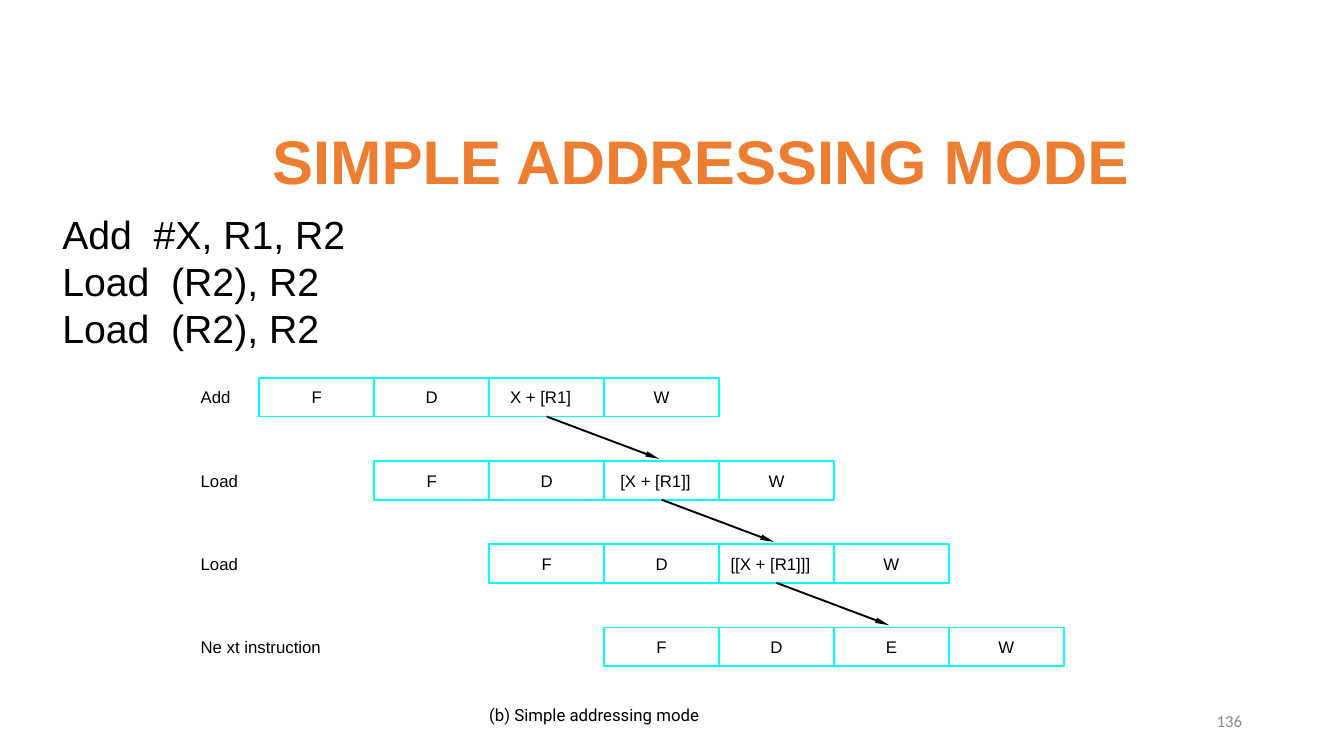
from lxml import etree
from pptx import Presentation, util as u
from pptx.dml.color import RGBColor
from pptx.enum import shapes, text
from pptx.oxml.ns import qn

LEFT, TOP, COL, ROW, HIGH = 19.3, 50, 8.55, 11, 5.1
ALIGN = text.PP_ALIGN
STAGES = [
    ("Add", "X + [R1]"),
    ("Load", "[X + [R1]]"),
    ("Load", "[[X + [R1]]]"),
    ("Ne xt instruction", "E"),
]


def tint(code):
    return RGBColor.from_string(code)


class Deck:
    ink, edge, accent, pale = "000000", "00FFFF", "ED7D31", "898989"
    face, thin = "Arial", u.Pt(1.37)

    def __init__(self):
        self.prs = Presentation()
        self.prs.slide_width = u.Inches(13.33)
        self.prs.slide_height = u.Inches(7.5)
        self.slide = self.prs.slides.add_slide(self.prs.slide_layouts[5])
        self.items = self.slide.shapes

    def x(self, share):
        return round(self.prs.slide_width * share / 100)

    def y(self, share):
        return round(self.prs.slide_height * share / 100)

    def area(self, left, top, width, height):
        return self.x(left), self.y(top), self.x(width), self.y(height)

    def label(self, shape, words, size=12, color=None, face=None, bold=False,
              align=ALIGN.LEFT, mid=True, pad=(0, 0)):
        frame = shape.text_frame
        frame.text = words
        frame.word_wrap = True
        frame.auto_size = text.MSO_AUTO_SIZE.NONE
        frame.vertical_anchor = text.MSO_ANCHOR.MIDDLE if mid else text.MSO_ANCHOR.TOP
        frame.margin_left = frame.margin_right = u.Inches(pad[0])
        frame.margin_top = frame.margin_bottom = u.Inches(pad[1])
        for para in frame.paragraphs:
            para.alignment = align
            font = para.font
            font.name, font.size, font.bold = face or self.face, u.Pt(size), bold
            font.color.rgb = tint(color or self.ink)

    def title(self, words, *spot):
        head = self.items.title
        head.left, head.top, head.width, head.height = self.area(*spot)
        self.label(head, words, 44, self.accent, bold=True, mid=False, pad=(0.1, 0.05))

    def note(self, words, *spot, **style):
        self.label(self.items.add_textbox(*self.area(*spot)), words, **style)

    def cell(self, words, col, row):
        spot = self.area(LEFT + col * COL, TOP + row * ROW, COL, HIGH)
        box = self.items.add_shape(shapes.MSO_SHAPE.RECTANGLE, *spot)
        box.shadow.inherit = False
        box.fill.background()
        box.line.color.rgb = tint(self.edge)
        box.line.width = self.thin
        self.label(box, words, align=ALIGN.CENTER)
        if "[" in words:
            box.text_frame.margin_right = u.Inches(0.12)

    def arrow(self, col, row):
        start = self.x(LEFT + (col + 0.5) * COL), self.y(TOP + row * ROW + HIGH)
        end = self.x(LEFT + (col + 1.48) * COL), self.y(TOP + (row + 1) * ROW - 0.3)
        link = self.items.add_connector(shapes.MSO_CONNECTOR.STRAIGHT, *start, *end)
        link.line.color.rgb = tint(self.ink)
        link.line.width = self.thin
        props = link.element.spPr
        etree.SubElement(props.find(qn("a:ln")), qn("a:tailEnd"),
                         type="triangle", w="sm", len="lg")
        etree.SubElement(props, qn("a:effectLst"))


def main():
    deck = Deck()
    deck.title("SIMPLE ADDRESSING MODE", 19.5, 15.6, 76.6, 11.2)
    deck.note("Add  #X, R1, R2\nLoad  (R2), R2\nLoad  (R2), R2",
              3.9, 27.1, 29.7, 20.1, size=28, mid=False, pad=(0.1, 0.05))
    for row, (name, third) in enumerate(STAGES):
        deck.note(name, 14.93, TOP + row * ROW, 10, HIGH)
        for step, words in enumerate(("F", "D", third, "W")):
            deck.cell(words, row + step, row)
    for row in range(len(STAGES) - 1):
        deck.arrow(row + 2, row)
    deck.note("(b) Simple addressing mode", LEFT + 2 * COL, 93.2, 18, 2.7, face="Roboto")
    deck.note("136", 70.67, 92.7, 22.5, 5.3, color=deck.pale, face="Calibri",
              align=ALIGN.RIGHT, pad=(0.1, 0.05))
    deck.prs.save("out.pptx")


if __name__ == "__main__":
    main()
